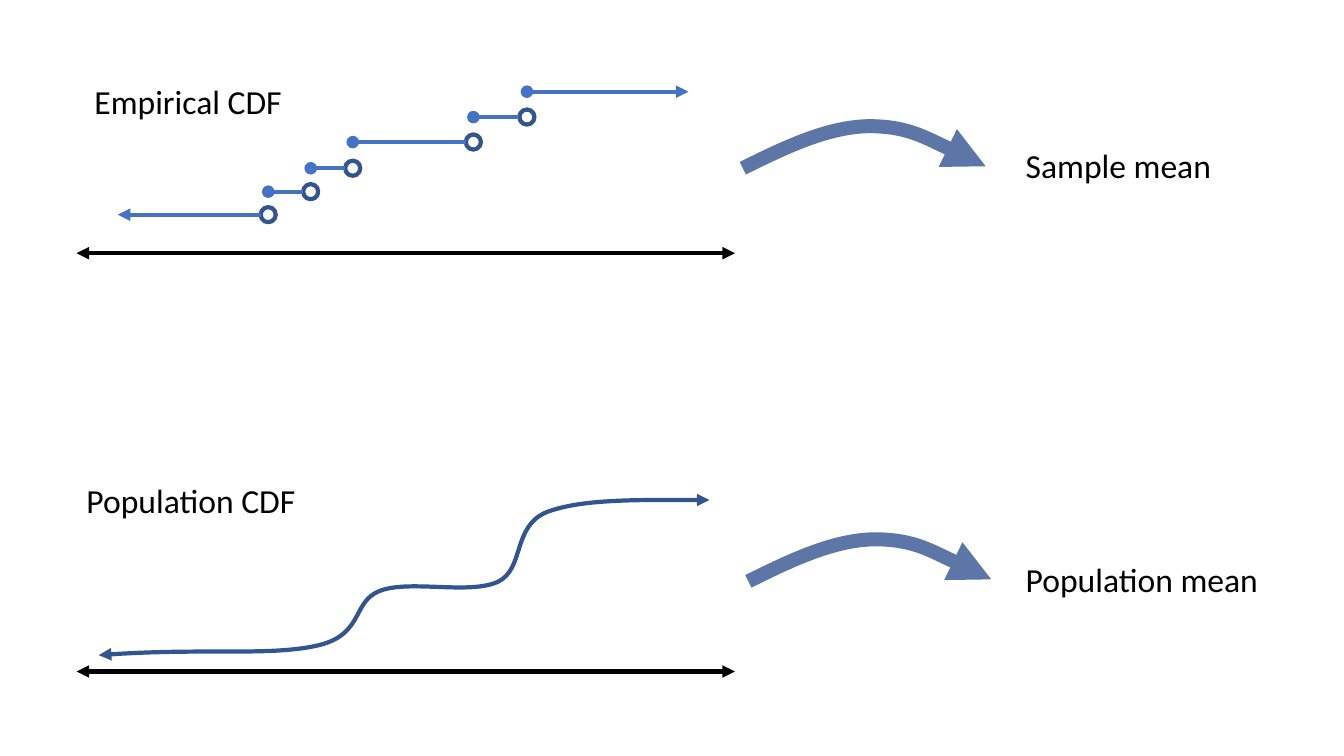
from dataclasses import dataclass

from lxml import etree
from pptx import Presentation
from pptx.dml.color import RGBColor
from pptx.enum.shapes import MSO_CONNECTOR, MSO_SHAPE
from pptx.enum.text import MSO_AUTO_SIZE
from pptx.oxml.ns import qn
from pptx.util import Cm, Pt


@dataclass(frozen=True)
class Theme:
    black: RGBColor = RGBColor.from_string("000000")
    blue: RGBColor = RGBColor.from_string("4472C4")
    dark_blue: RGBColor = RGBColor.from_string("325491")
    font: str = "Calibri"
    label_size: Pt = Pt(24)
    line_width: Pt = Pt(3)
    arrow_width: Pt = Pt(10)


theme = Theme()
presentation = Presentation()
presentation.slide_width, presentation.slide_height = Cm(33.87), Cm(19.05)
slide = presentation.slides.add_slide(presentation.slide_layouts[6])
shapes = slide.shapes


def add_line(start, end, y, color, head, tail):
    """Draw a horizontal line with the given end marks."""
    line = shapes.add_connector(MSO_CONNECTOR.STRAIGHT, Cm(start), Cm(y), Cm(end), Cm(y))
    line.line.color.rgb = color
    line.line.width = theme.line_width
    stroke = line.line._get_or_add_ln()
    etree.SubElement(stroke, qn("a:headEnd"), type=head)
    etree.SubElement(stroke, qn("a:tailEnd"), type=tail)
    etree.SubElement(line._element.spPr, qn("a:effectLst"))


def add_curve(points, width, head, opacity):
    """Draw a cubic Bezier curve: a start point, then three points per segment."""
    start, *others = [(Cm(x), Cm(y)) for x, y in points]
    builder = shapes.build_freeform(*start)
    builder.add_line_segments(others, close=False)
    curve = builder.convert_to_shape()
    path = curve._element.find(".//" + qn("a:path"))
    segments = path.findall(qn("a:lnTo"))
    for first in range(0, len(segments), 3):
        bezier = etree.SubElement(path, qn("a:cubicBezTo"))
        for segment in segments[first:first + 3]:
            bezier.append(segment[0])
            path.remove(segment)
    curve.shadow.inherit = False
    curve.fill.background()
    curve.line.color.rgb = theme.dark_blue
    curve.line.width = width
    stroke = curve.line._get_or_add_ln()
    color = stroke.find(".//" + qn("a:srgbClr"))
    etree.SubElement(color, qn("a:alpha"), val=str(opacity * 1000))
    etree.SubElement(stroke, qn("a:headEnd"), type=head)
    etree.SubElement(stroke, qn("a:tailEnd"), type="triangle")


# Axes
for axis_y in (16.92, 6.38):
    add_line(1.93, 18.52, axis_y, theme.black, "triangle", "triangle")

# Labels: text, left, top, width
labels = [
    ("Population CDF", 1.93, 11.96, 5.82),
    ("Empirical CDF", 2.13, 1.91, 5.28),
    ("Sample mean", 25.6, 3.53, 5.23),
    ("Population mean", 25.6, 13.97, 6.43),
]
for text, left, top, width in labels:
    label = shapes.add_textbox(Cm(left), Cm(top), Cm(width), Cm(1.27))
    frame = label.text_frame
    frame.word_wrap = False
    frame.auto_size = MSO_AUTO_SIZE.SHAPE_TO_FIT_TEXT
    run = frame.paragraphs[0].add_run()
    run.text = text
    run.font.name = theme.font
    run.font.size = theme.label_size
    run.font.color.rgb = theme.black

# Population CDF
population_curve = [
    (2.49, 16.51),
    (5.11, 16.31), (6.83, 16.54), (8.03, 16.26),
    (9.19, 15.98), (8.86, 15.14), (9.6, 14.88),
    (10.36, 14.61), (11.84, 14.99), (12.55, 14.66),
    (13.23, 14.33), (12.9, 13.26), (13.79, 12.9),
    (14.68, 12.57), (16.26, 12.6), (17.88, 12.6),
]
add_curve(population_curve, theme.line_width, "triangle", 100)

# Empirical CDF: each step ends at an open circle, and the next starts above it
radius = 0.19
jumps = [6.76, 7.83, 8.89, 11.93, 13.28]
levels = [5.41, 4.83, 4.24, 3.58, 2.95, 2.31]
for jump, level in zip(jumps, levels):
    circle = shapes.add_shape(MSO_SHAPE.OVAL, Cm(jump - radius), Cm(level - radius),
                              Cm(2 * radius), Cm(2 * radius))
    circle.shadow.inherit = False
    circle.fill.background()
    circle.line.color.rgb = theme.dark_blue
    circle.line.width = theme.line_width

starts = [2.97] + jumps
ends = [jump - radius for jump in jumps] + [17.35]
left_marks = ["triangle"] + ["oval"] * len(jumps)
right_marks = ["none"] * len(jumps) + ["triangle"]
for start, end, level, left_mark, right_mark in zip(starts, ends, levels, left_marks, right_marks):
    add_line(end, start, level, theme.blue, right_mark, left_mark)

# Arrows from each CDF to its mean
mean_arrow = [
    (18.72, 4.24),
    (19.79, 3.71), (20.85, 3.2), (21.89, 3.18),
    (22.91, 3.18), (24.49, 4.01), (24.84, 4.19),
]
for shift_x, shift_y in ((0, 0), (0.14, 10.41)):
    shifted = [(x + shift_x, y + shift_y) for x, y in mean_arrow]
    add_curve(shifted, theme.arrow_width, "none", 80)

presentation.save("out.pptx")
